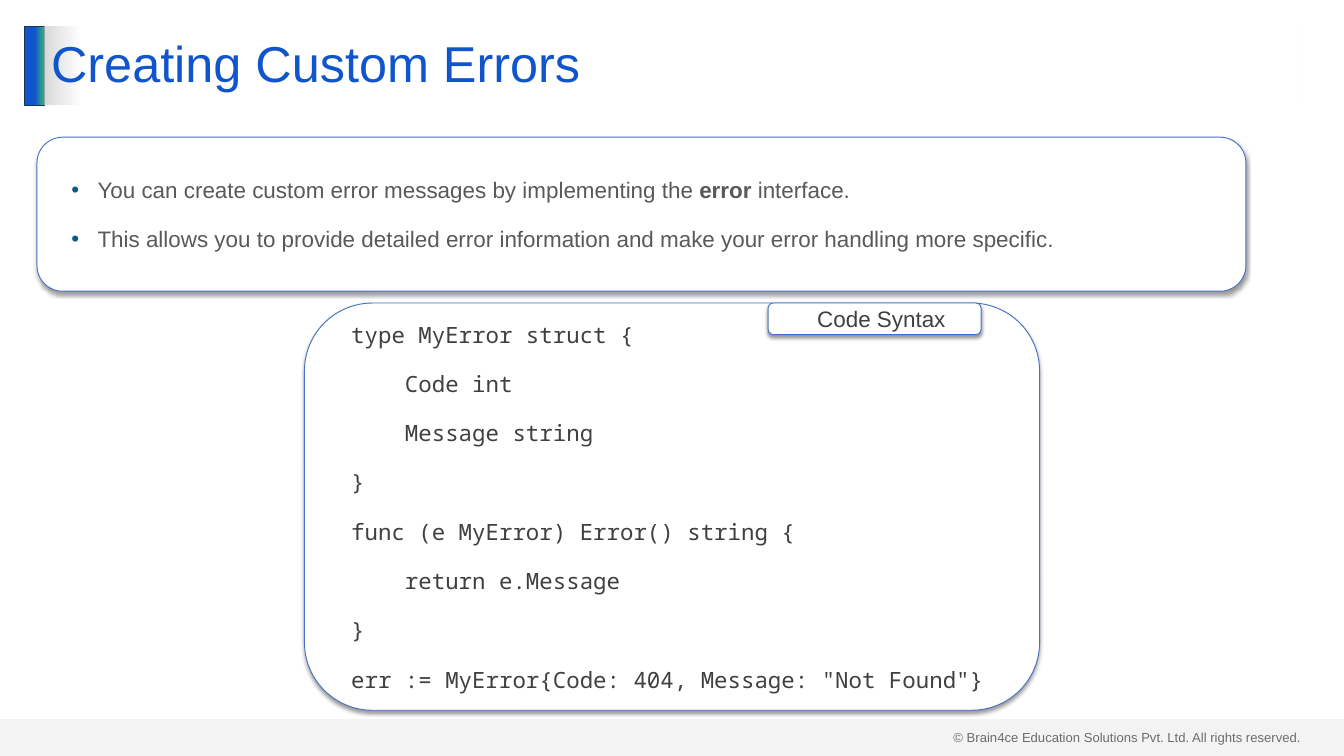
"""Build the "Creating Custom Errors" slide."""
from lxml import etree
from pptx import Presentation
from pptx.dml.color import RGBColor
from pptx.enum.shapes import MSO_SHAPE
from pptx.enum.text import MSO_ANCHOR, MSO_AUTO_SIZE, PP_ALIGN
from pptx.oxml import parse_xml
from pptx.oxml.ns import nsdecls, qn
from pptx.util import Pt

RECT, ROUND = MSO_SHAPE.RECTANGLE, MSO_SHAPE.ROUNDED_RECTANGLE
MIDDLE, NO_FIT = MSO_ANCHOR.MIDDLE, MSO_AUTO_SIZE.NONE
LEFT, CENTER = PP_ALIGN.LEFT, PP_ALIGN.CENTER

SHADOW = (f'<a:effectLst {nsdecls("a")}><a:outerShdw blurRad="{Pt(4)}" dist="{Pt(3)}" dir="5400000">'
          '<a:srgbClr val="000000"><a:alpha val="40000"/></a:srgbClr></a:outerShdw></a:effectLst>')
BULLET = (f'<a:buClr {nsdecls("a")}><a:srgbClr val="095A82"/></a:buClr>',
          f'<a:buFont {nsdecls("a")} typeface="Arial"/>',
          f'<a:buChar {nsdecls("a")} char="•"/>')
CODE = """type MyError struct {
    Code int
    Message string
}
func (e MyError) Error() string {
    return e.Message
}
err := MyError{Code: 404, Message: "Not Found"}"""


def rgb(value):
    return RGBColor.from_string(value)


def style(p, size, color, name="Arial"):
    for r in p.runs:
        r.font.size, r.font.name = Pt(size), name
        r.font.color.rgb = rgb(color)


prs = Presentation()
prs.slide_width, prs.slide_height = Pt(1440), Pt(810)
s = prs.slides.add_slide(prs.slide_layouts[1])
title, body = s.placeholders

footer = s.shapes.add_textbox(Pt(1014.5), Pt(777.6), Pt(389.5), Pt(24.5))
tf = footer.text_frame
tf.word_wrap = True
tf.text = "© Brain4ce Education Solutions Pvt. Ltd. All rights reserved."
style(tf.paragraphs[0], 14, "404040")

bar = s.shapes.add_shape(RECT, Pt(26.6), Pt(28), Pt(21.6), Pt(85))
bar.shadow.inherit = False
bar.line.color.rgb = rgb("1E3256")
bar.line.width = Pt(1)

band = s.shapes.add_shape(RECT, 0, Pt(770.4), Pt(1440), Pt(39.6))
band.shadow.inherit = False
band.line.fill.background()
band.fill.solid()
band.fill.fore_color.rgb = rgb("D9D9D9")
color = band._element.spPr.find(qn("a:solidFill"))[0]
etree.SubElement(color, qn("a:alpha")).set("val", "29000")

title.left, title.top, title.width, title.height = Pt(47.5), Pt(28), Pt(1344), Pt(85)
for sp, stops in ((bar, ((0.51, "1155CC"), (0.9, "2EA87D"))),
                  (title, ((0, "D9D9D9"), (0.03, "FFFFFF")))):
    sp.fill.gradient()
    sp.fill.gradient_angle = 0
    for stop, (position, value) in zip(sp.fill.gradient_stops, stops):
        stop.position = position
        stop.color.rgb = rgb(value)

tf = title.text_frame
tf.text = "Creating Custom Errors"
tf.vertical_anchor, tf.auto_size = MIDDLE, NO_FIT
p = tf.paragraphs[0]
p.alignment, p.line_spacing = LEFT, 0.9
style(p, 54, "1155CC")
s.shapes._spTree.append(title._element)

cards = []
for x, y, w, h in ((39.6, 147, 1295.3, 165),
                   (326.2, 324.7, 787.7, 436.3),
                   (823, 324.7, 228.2, 33.8)):
    card = s.shapes.add_shape(ROUND, Pt(x), Pt(y), Pt(w), Pt(h))
    card.fill.solid()
    card.fill.fore_color.rgb = rgb("FFFFFF")
    card.line.color.rgb = rgb("4472C4")
    card.line.width = Pt(1)
    card._element.spPr.append(parse_xml(SHADOW))
    cards.append(card)
list_card, code_card, label = cards

body.left, body.top = list_card.left, list_card.top
body.width, body.height = list_card.width, list_card.height
list_card._element.addnext(body._element)

for sp in (body, code_card, label):
    tf = sp.text_frame
    tf.word_wrap, tf.auto_size, tf.vertical_anchor = True, NO_FIT, MIDDLE
    tf.margin_left = tf.margin_right = Pt(14.4)
    tf.margin_top = tf.margin_bottom = Pt(7.2)

tf = body.text_frame
tf.margin_left = tf.margin_right = Pt(22.4)
bullets = ((("You can create custom error messages by implementing the ", False),
            ("error ", True), ("interface.", False)),
           (("This allows you to provide detailed error information and "
             "make your error handling more specific.", False),))
for i, parts in enumerate(bullets):
    p = tf.add_paragraph() if i else tf.paragraphs[0]
    pPr = p._p.get_or_add_pPr()
    pPr.set("marL", str(Pt(42.5)))
    pPr.set("indent", str(Pt(-28)))
    for xml in BULLET:
        pPr.append(parse_xml(xml))
    for text, bold in parts:
        r = p.add_run()
        r.text, r.font.bold = text, bold
    style(p, 24, "595959")

code_card.text_frame.text = CODE
label.text_frame.text = "Code Syntax"
for sp, name, align in ((code_card, "Noto Sans Mono", LEFT), (label, "Arial", CENTER)):
    for p in sp.text_frame.paragraphs:
        p._p.get_or_add_pPr().set("marL", str(Pt(14.4)))
        p.alignment = align
        style(p, 24, "404040", name)

for sp in (body, code_card, label):
    for i, p in enumerate(sp.text_frame.paragraphs):
        p.line_spacing = Pt(28.8)
        p.space_before = Pt(24 if i else 0)
        p.space_after = Pt(0)

prs.save("out.pptx")
